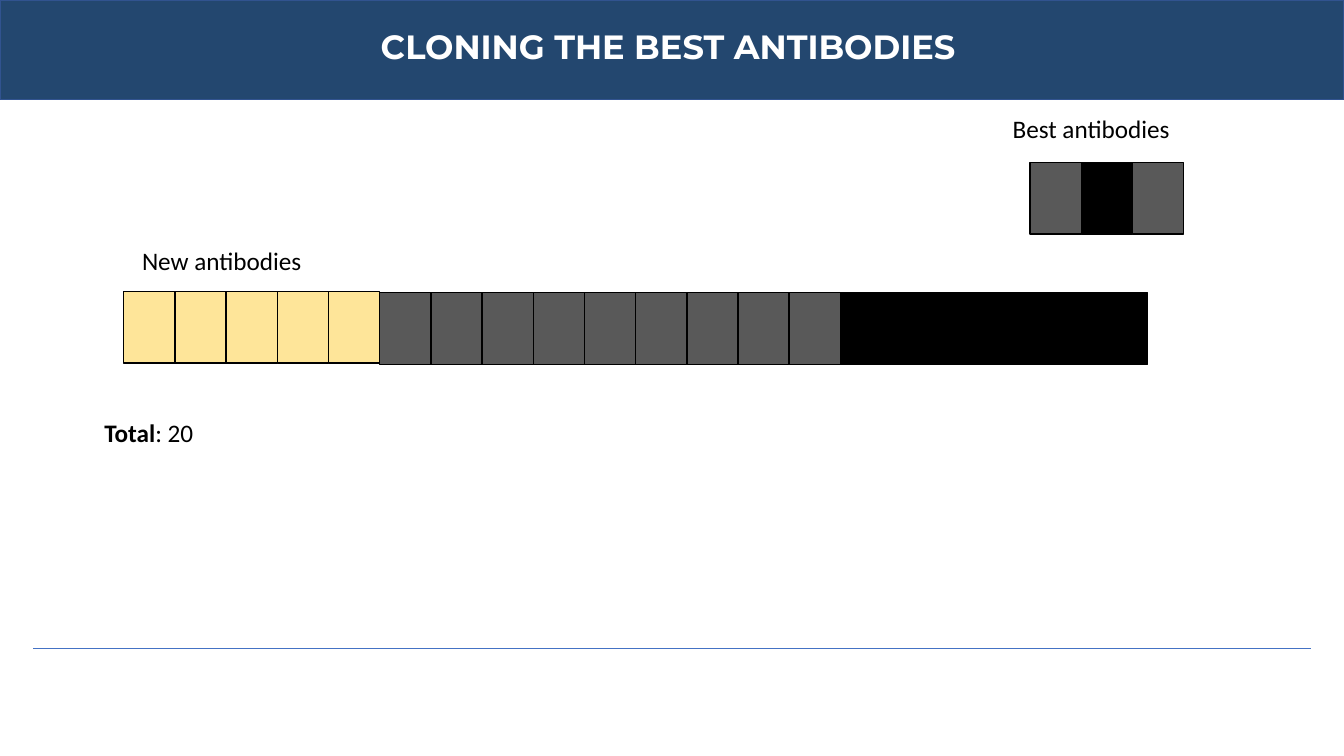
from dataclasses import dataclass

from lxml.etree import SubElement
from pptx import Presentation
from pptx.dml.color import RGBColor as Rgb
from pptx.enum.shapes import MSO_CONNECTOR as Link, MSO_SHAPE as Kind
from pptx.enum.text import MSO_ANCHOR as Anchor, MSO_AUTO_SIZE as Fit, PP_ALIGN as Align
from pptx.oxml.ns import qn
from pptx.util import Cm, Pt


@dataclass(frozen=True)
class Theme:
    navy: str = "23476F"
    edge: str = "31538F"
    rule: str = "4472C4"
    white: str = "FFFFFF"
    black: str = "000000"
    gray: str = "595959"
    cream: str = "FEE599"
    head: str = "Montserrat"
    body: str = "Calibri"
    big: int = 24
    small: int = 18


class Deck:
    cell_w, cell_h = 1.29, 1.81

    def __init__(self, theme):
        self.theme = theme
        self.prs = Presentation()
        self.prs.slide_width, self.prs.slide_height = Cm(33.87), Cm(19.05)
        self.slide = self.prs.slides.add_slide(self.prs.slide_layouts[5])
        self.shapes = self.slide.shapes

    def style(self, para, face, size, color, align):
        para.alignment = align
        para.font.name, para.font.size = face, Pt(size)
        para.font.color.rgb = Rgb.from_string(color)

    def rect(self, shapes, x, y, w, h, fill, line):
        box = shapes.add_shape(Kind.RECTANGLE, Cm(x), Cm(y), Cm(w), Cm(h))
        box.shadow.inherit = False
        box.fill.solid()
        box.fill.fore_color.rgb = Rgb.from_string(fill)
        box.line.color.rgb = Rgb.from_string(line)
        box.line.width = Pt(1)
        return box

    def band(self, w, h):
        box = self.rect(self.shapes, 0, 0, w, h, self.theme.navy, self.theme.edge)
        # Send the band behind the title
        box.element.getparent().insert(2, box.element)

    def title(self, text, x, y, w, h):
        box = self.shapes.title
        box.left, box.top, box.width, box.height = Cm(x), Cm(y), Cm(w), Cm(h)
        frame = box.text_frame
        frame.text = text
        frame.vertical_anchor, frame.auto_size = Anchor.TOP, Fit.NONE
        para = frame.paragraphs[0]
        self.style(para, self.theme.head, self.theme.big, self.theme.white, Align.CENTER)
        para.font.bold = True

    def label(self, text, x, y, w, bold="", align=Align.LEFT):
        box = self.shapes.add_textbox(Cm(x), Cm(y), Cm(w), Cm(1.03))
        frame = box.text_frame
        frame.word_wrap, frame.auto_size = True, Fit.SHAPE_TO_FIT_TEXT
        para = frame.paragraphs[0]
        self.style(para, self.theme.body, self.theme.small, self.theme.black, align)
        if bold:
            run = para.add_run()
            run.text, run.font.bold = bold, True
        para.add_run().text = text

    def cells(self, x, y, fills):
        group = self.shapes.add_group_shape()
        for i, fill in enumerate(fills):
            self.rect(group.shapes, x + i * self.cell_w, y,
                      self.cell_w, self.cell_h, fill, self.theme.black)

    def rule(self, x1, x2, y):
        line = self.shapes.add_connector(Link.STRAIGHT, Cm(x1), Cm(y), Cm(x2), Cm(y))
        line.line.color.rgb = Rgb.from_string(self.theme.rule)
        line.line.width = Pt(0.75)
        SubElement(line.element.spPr, qn("a:effectLst"))


def main():
    theme = Theme()
    deck = Deck(theme)

    # Header and footer rule
    deck.band(33.87, 2.51)
    deck.title("CLONING THE BEST ANTIBODIES", 6.32, 0.53, 21.03, 1.27)
    deck.rule(0.84, 33.05, 16.33)

    # New antibodies, in groups of five
    deck.label("New antibodies", 3.33, 6.05, 5.16)
    fills = [theme.cream] * 5 + [theme.gray] * 9 + [theme.black] * 6
    for i in range(0, len(fills), 5):
        top = 7.37 if i else 7.34
        deck.cells(3.12 + i * deck.cell_w, top, fills[i:i + 5])
    deck.label(": 20", 2.16, 10.39, 3.18, bold="Total", align=Align.CENTER)

    # Best antibodies
    deck.label("Best antibodies", 25.27, 2.74, 5.99)
    deck.cells(25.96, 4.09, [theme.gray, theme.black, theme.gray])

    deck.prs.save("out.pptx")


if __name__ == "__main__":
    main()
